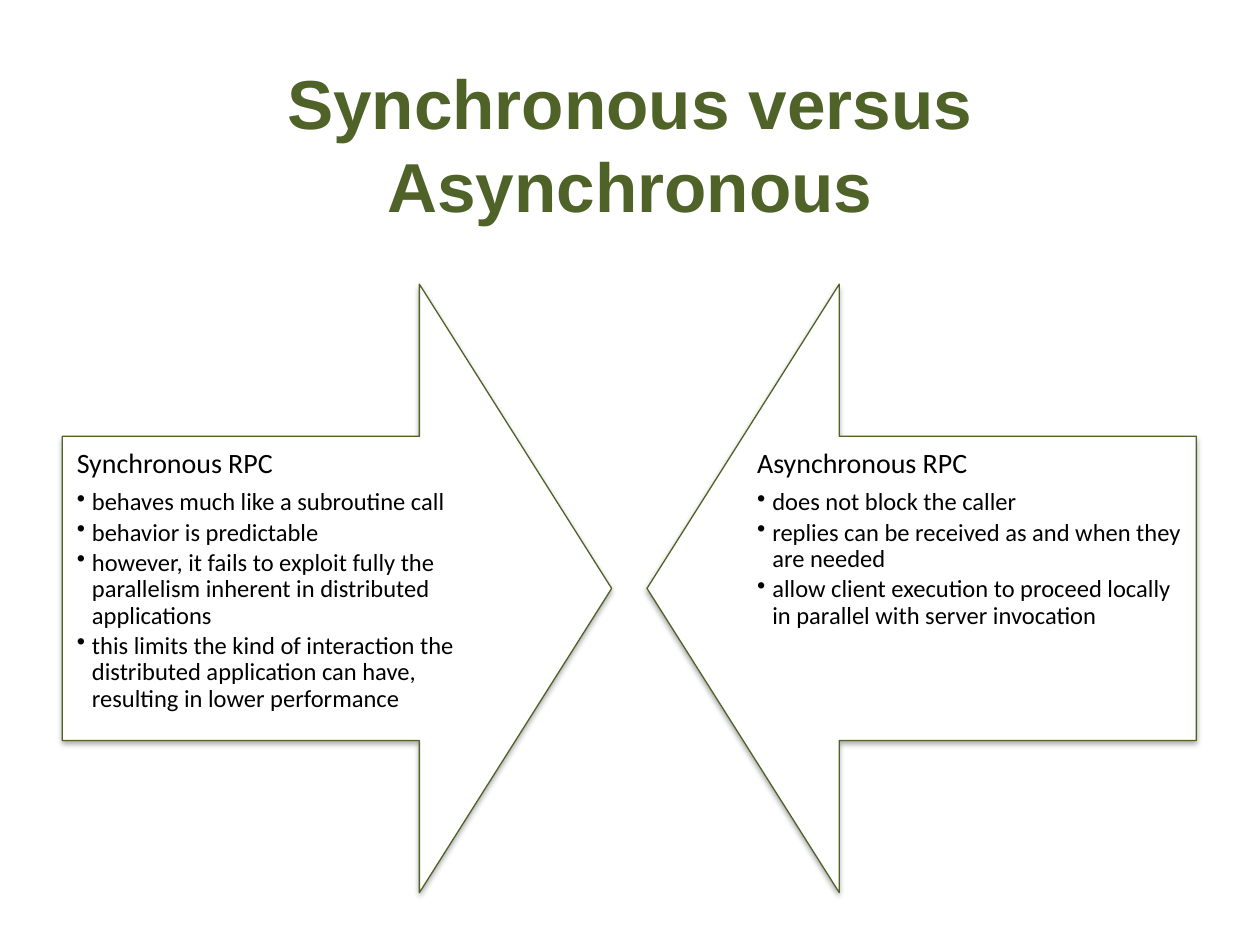
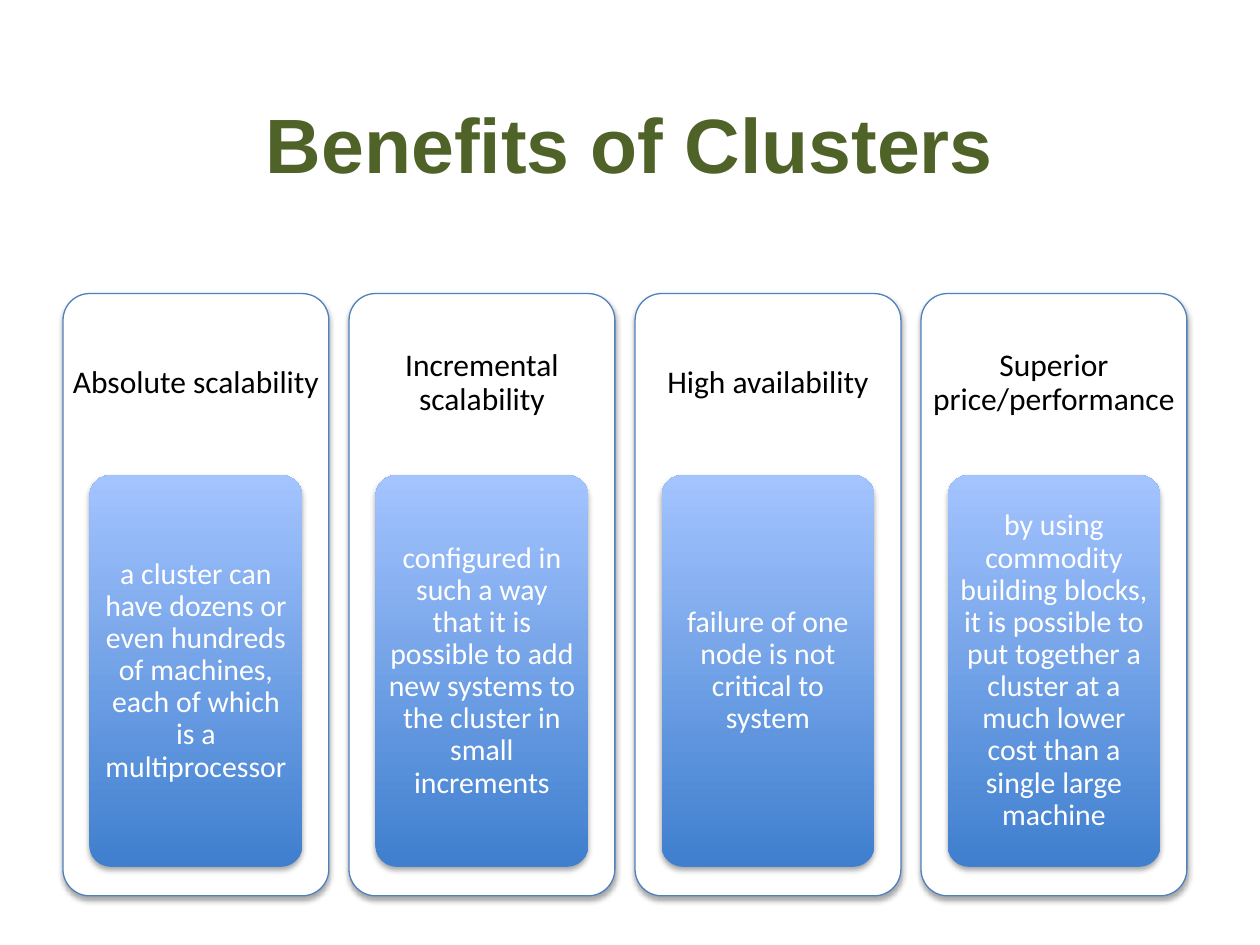
from dataclasses import dataclass
from typing import NamedTuple

from lxml import etree
from pptx import Presentation
from pptx.dml.color import RGBColor
from pptx.enum.shapes import MSO_SHAPE
from pptx.enum.text import MSO_ANCHOR, PP_ALIGN
from pptx.oxml.ns import qn
from pptx.presentation import Presentation as Deck
from pptx.shapes.autoshape import Shape
from pptx.slide import Slide
from pptx.text.text import TextFrame
from pptx.util import Inches, Pt

DOWN_ARROW = MSO_SHAPE.DOWN_ARROW
ROUNDED = MSO_SHAPE.ROUNDED_RECTANGLE
TOP, MIDDLE = MSO_ANCHOR.TOP, MSO_ANCHOR.MIDDLE
LEFT, CENTER = PP_ALIGN.LEFT, PP_ALIGN.CENTER

OLIVE = RGBColor(0x4F, 0x62, 0x28)
BLUE = RGBColor(0x4F, 0x81, 0xBD)
DEEP_BLUE = RGBColor(0x3F, 0x7F, 0xCE)
PALE_BLUE = RGBColor(0xA4, 0xC4, 0xFF)
BLACK = RGBColor(0, 0, 0)
WHITE = RGBColor(0xFF, 0xFF, 0xFF)

TITLE_FONT = {"name": "Arial", "bold": True, "color": OLIVE}
BODY_FONT = {"name": "Calibri", "color": BLACK}
SHADOW = {"blurRad": "40000", "dist": "23000", "dir": "5400000", "rotWithShape": "0"}
SHADOW_OPACITY = "35000"
BULLET_INDENT = Inches(0.12)

CARD_TOP, CARD_WIDTH, CARD_HEIGHT = 2.33, 2.11, 4.78
CARD_PITCH = 2.27
HEADING_HEIGHT = 1.43
PANEL_INSET, PANEL_TOP, PANEL_HEIGHT = 0.21, 3.77, 3.11
PANEL_PADDING = 0.05


class Box(NamedTuple):
    left: float
    top: float
    width: float
    height: float

    def lengths(self) -> list[int]:
        return [Inches(side) for side in self]

    def shrink(self, margin: float) -> "Box":
        return Box(self.left + margin, self.top + margin,
                   self.width - 2 * margin, self.height - 2 * margin)


@dataclass(frozen=True)
class CallStyle:
    heading: str
    traits: tuple[str, ...]
    arrow: Box
    rotation: int
    text: Box


@dataclass(frozen=True)
class Benefit:
    heading: str
    detail: str


CALL_STYLES = (
    CallStyle(
        "Synchronous RPC",
        ("behaves much like a subroutine call",
         "behavior is predictable",
         "however, it fails to exploit fully the parallelism inherent in "
         "distributed applications",
         "this limits the kind of interaction the distributed application "
         "can have, resulting in lower performance"),
        Box(0.26, 2.49, 4.83, 4.36), 270, Box(0.5, 3.46, 3.6, 2.42)),
    CallStyle(
        "Asynchronous RPC",
        ("does not block the caller",
         "replies can be received as and when they are needed",
         "allow client execution to proceed locally in parallel with "
         "server invocation"),
        Box(4.9, 2.49, 4.83, 4.36), 90, Box(5.9, 3.46, 3.6, 2.42)),
)

BENEFITS = (
    Benefit("Absolute scalability",
            "a cluster can have dozens or even hundreds of machines, "
            "each of which is a multiprocessor"),
    Benefit("Incremental scalability",
            "configured in such a way that it is possible to add new "
            "systems to the cluster in small increments"),
    Benefit("High availability",
            "failure of one node is not critical to system"),
    Benefit("Superior price/performance",
            "by using commodity building blocks, it is possible to put "
            "together a cluster at a much lower cost than a single large machine"),
)


def add_frame(slide: Slide, box: Box, anchor: MSO_ANCHOR,
              inset_x: float, inset_y: float) -> TextFrame:
    frame = slide.shapes.add_textbox(*box.lengths()).text_frame
    layout = {
        "word_wrap": True, "vertical_anchor": anchor,
        "margin_left": Inches(inset_x), "margin_right": Inches(inset_x),
        "margin_top": Inches(inset_y), "margin_bottom": Inches(inset_y),
    }
    for name, value in layout.items():
        setattr(frame, name, value)
    return frame


def write(frame: TextFrame, text: str, size: float, font: dict,
          align: PP_ALIGN = CENTER, spacing: float = 0.9,
          after: float = 0, bullet: bool = False) -> None:
    first = frame.paragraphs[0]
    paragraph = frame.add_paragraph() if first.runs else first
    layout = {"alignment": align, "line_spacing": spacing,
              "space_before": Pt(0), "space_after": Pt(after),
              "level": int(bullet)}
    for name, value in layout.items():
        setattr(paragraph, name, value)
    if bullet:
        properties = paragraph._p.get_or_add_pPr()
        properties.set("marL", str(BULLET_INDENT))
        properties.set("indent", str(-BULLET_INDENT))
        etree.SubElement(properties, qn("a:buChar"), char="•")
    run = paragraph.add_run()
    run.text = text
    for name, value in {**font, "size": Pt(size)}.items():
        if name == "color":
            run.font.color.rgb = value
        else:
            setattr(run.font, name, value)


def add_title(slide: Slide, text: str, size: float) -> None:
    frame = add_frame(slide, Box(0.5, 0.51, 9, 1.25), MIDDLE, 0.1, 0.05)
    write(frame, text, size, TITLE_FONT, spacing=1.0)


def add_raised(slide: Slide, kind: MSO_SHAPE, box: Box, adjustments: tuple[float, ...],
               outline: RGBColor | None) -> Shape:
    shape = slide.shapes.add_shape(kind, *box.lengths())
    for index, value in enumerate(adjustments):
        shape.adjustments[index] = value
    if outline is None:
        shape.fill.gradient()
        shape.fill.gradient_angle = 90
        for stop, color in zip(shape.fill.gradient_stops, (DEEP_BLUE, PALE_BLUE)):
            stop.color.rgb = color
        shape.line.fill.background()
    else:
        shape.fill.solid()
        shape.fill.fore_color.rgb = WHITE
        shape.line.color.rgb = outline
        shape.line.width = Pt(0.75)
    shape.shadow.inherit = False
    effects = shape._element.spPr.find(qn("a:effectLst"))
    shadow = etree.SubElement(effects, qn("a:outerShdw"), SHADOW)
    tint = etree.SubElement(shadow, qn("a:srgbClr"), val=str(BLACK))
    etree.SubElement(tint, qn("a:alpha"), val=SHADOW_OPACITY)
    return shape


def add_call_style(slide: Slide, style: CallStyle) -> None:
    arrow = add_raised(slide, DOWN_ARROW, style.arrow, (0.5, 0.35), OLIVE)
    arrow.rotation = style.rotation
    frame = add_frame(slide, style.text, TOP, 0.11, 0.11)
    write(frame, style.heading, 16, BODY_FONT, LEFT, after=5.6)
    for trait in style.traits:
        write(frame, trait, 14, BODY_FONT, LEFT, after=2.1, bullet=True)


def add_benefit(slide: Slide, benefit: Benefit, left: float) -> None:
    card = Box(left, CARD_TOP, CARD_WIDTH, CARD_HEIGHT)
    add_raised(slide, ROUNDED, card, (0.1,), BLUE)
    heading = add_frame(slide, card._replace(height=HEADING_HEIGHT), MIDDLE, 0.07, 0.07)
    write(heading, benefit.heading, 18, BODY_FONT)
    panel = Box(left + PANEL_INSET, PANEL_TOP,
                CARD_WIDTH - 2 * PANEL_INSET, PANEL_HEIGHT)
    add_raised(slide, ROUNDED, panel, (0.1,), None)
    detail = add_frame(slide, panel.shrink(PANEL_PADDING), MIDDLE, 0.05, 0.04)
    write(detail, benefit.detail, 17, {**BODY_FONT, "color": WHITE})


def add_slide(deck: Deck, title: str, title_size: float) -> Slide:
    slide = deck.slides.add_slide(deck.slide_layouts[6])
    slide.background.fill.solid()
    slide.background.fill.fore_color.rgb = WHITE
    add_title(slide, title, title_size)
    return slide


def main() -> None:
    deck = Presentation()
    deck.slide_width, deck.slide_height = Inches(10), Inches(7.5)

    comparison = add_slide(deck, "Synchronous versus Asynchronous", 39.6)
    for style in CALL_STYLES:
        add_call_style(comparison, style)

    clusters = add_slide(deck, "Benefits of Clusters", 44)
    for index, benefit in enumerate(BENEFITS):
        add_benefit(clusters, benefit, 0.5 + index * CARD_PITCH)

    deck.save("out.pptx")


if __name__ == "__main__":
    main()
